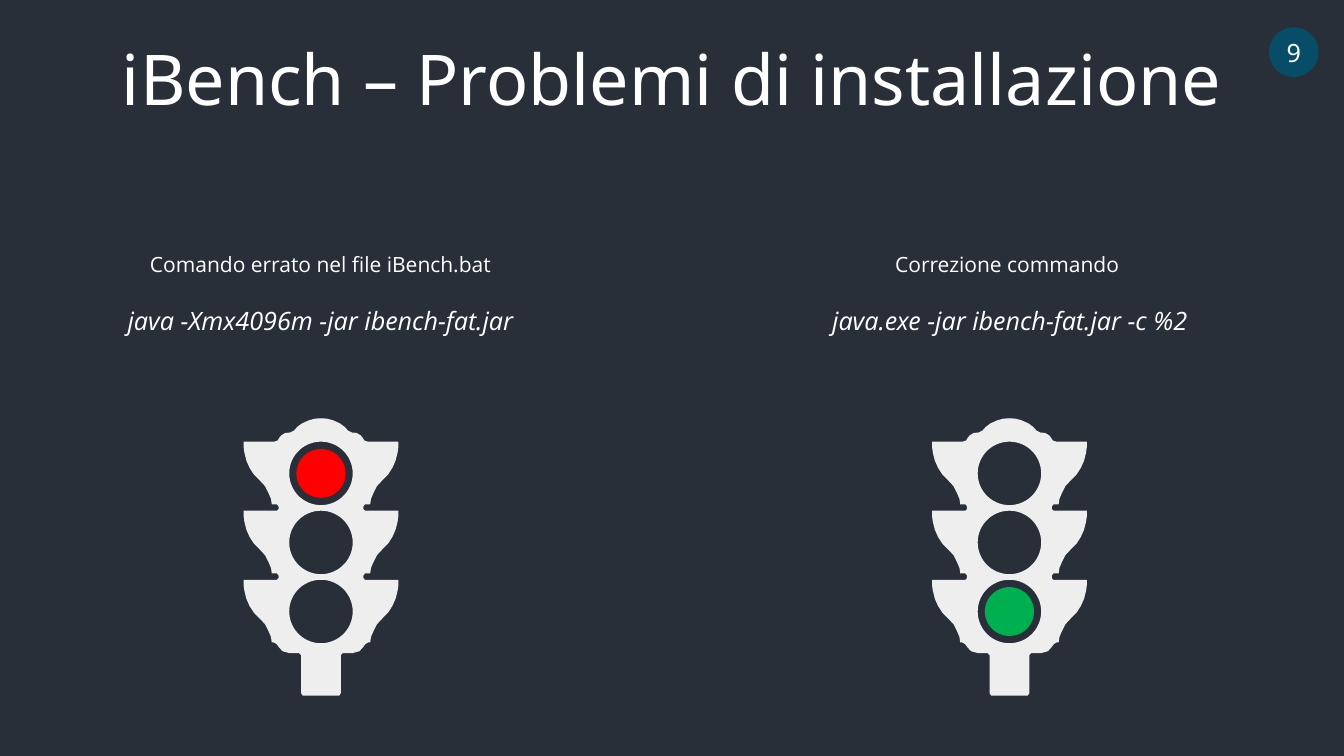
"""Builds the slide on iBench installation problems with two traffic lights."""
from math import cos, pi, sin

from pptx import Presentation
from pptx.dml.color import RGBColor
from pptx.enum.shapes import MSO_SHAPE
from pptx.enum.text import MSO_ANCHOR, MSO_AUTO_SIZE, PP_ALIGN
from pptx.util import Cm, Pt

OVAL = MSO_SHAPE.OVAL
TOP, MIDDLE = MSO_ANCHOR.TOP, MSO_ANCHOR.MIDDLE
CENTER = PP_ALIGN.CENTER
NO_FIT = MSO_AUTO_SIZE.NONE

COLORS = {
    "night": "282F39",
    "white": "FFFFFF",
    "body": "EEEEEE",
    "red": "FF0000",
    "green": "00B050",
    "badge": "074D67",
}

TITLE = "iBench – Problemi di installazione"
PAGE_NUMBER = "9"
TITLE_FORMAT = {"name": "Noto Sans", "size": Pt(50)}
NUMBER_FORMAT = {"name": "Noto Sans", "size": Pt(18)}
CAPTION_FORMAT = {"name": "Open Sans", "size": Pt(15)}
COMMAND_FORMAT = {"name": "Open Sans", "size": Pt(18), "italic": True}

CASES = [
    {
        "caption": "Comando errato nel file iBench.bat",
        "command": "java -Xmx4096m -jar ibench-fat.jar",
        "box": (2.95, 6.22, 10.26, 2.31),
        "axis": 8.09,
        "lamps": ["red", "night", "night"],
    },
    {
        "caption": "Correzione commando ",
        "command": "java.exe -jar ibench-fat.jar -c %2",
        "box": (19.71, 6.22, 11.48, 2.31),
        "axis": 25.44,
        "lamps": ["night", "night", "green"],
    },
]

TIER_TOP, TIER_PITCH = 11.13, 1.74
LENS_DROP, LENS_RADIUS, LENS_STEPS = 0.8, 0.8, 60
LAMP_WIDTH, LAMP_HEIGHT = 1.24, 1.23

CAP = [(0, -0.59), (0.15, -0.58), (0.3, -0.54), (0.48, -0.46), (0.6, -0.37),
       (0.68, -0.28), (0.78, -0.23), (0.9, -0.22), (1, -0.16), (1.05, -0.1),
       (1.09, -0.03), (1.18, 0)]
WING = [(1.95, 0), (1.95, 0.14), (1.93, 0.28), (1.88, 0.48), (1.8, 0.66),
        (1.69, 0.83), (1.55, 0.97), (1.41, 1.12), (1.32, 1.3), (1.26, 1.44),
        (1.24, 1.58)]
NOTCH = [(1.11, 1.58), (1.07, 1.63), (1.07, 1.7), (1.11, 1.74)]
POLE = [(1.19, 1.58), (1.12, 1.62), (1.06, 1.7), (0.97, 1.8), (0.79, 1.85),
        (0.55, 1.85), (0.5, 1.9), (0.5, 2.86), (0.46, 2.92)]


def color(name):
    return RGBColor.from_string(COLORS[name])


def paint(shape, name):
    shape.shadow.inherit = False
    shape.fill.solid()
    shape.fill.fore_color.rgb = color(name)
    shape.line.fill.background()


def write(para, text, formats):
    para.alignment = CENTER
    span = para.add_run()
    span.text = text
    span.font.color.rgb = color("white")
    for key, value in formats.items():
        setattr(span.font, key, value)


def tier_top(tier):
    return TIER_TOP + tier * TIER_PITCH


def body_outline(axis):
    half = [(x, TIER_TOP + y) for x, y in CAP]
    for tier, ending in enumerate([NOTCH, NOTCH, POLE]):
        half += [(x, tier_top(tier) + y) for x, y in WING + ending]
    right = [(axis + x, y) for x, y in half]
    left = [(axis - x, y) for x, y in reversed(half[1:])]
    return right + left


def lens_outline(axis, tier):
    middle = tier_top(tier) + LENS_DROP
    angles = [-2 * pi * step / LENS_STEPS for step in range(LENS_STEPS)]
    return [(axis + LENS_RADIUS * cos(angle), middle + LENS_RADIUS * sin(angle))
            for angle in angles]


def add_traffic_light(page, axis, lamps):
    light = page.shapes.add_group_shape()
    body, *lenses = [body_outline(axis)] + [
        lens_outline(axis, tier) for tier in range(len(lamps))]
    builder = light.shapes.build_freeform(*[Cm(v) for v in body[0]], scale=1.0)
    builder.add_line_segments([(Cm(x), Cm(y)) for x, y in body[1:]])
    for lens in lenses:
        builder.move_to(*[Cm(v) for v in lens[0]])
        builder.add_line_segments([(Cm(x), Cm(y)) for x, y in lens[1:]])
    paint(builder.convert_to_shape(), "body")
    for tier, lamp_color in enumerate(lamps):
        lamp = light.shapes.add_shape(
            OVAL, Cm(axis - LAMP_WIDTH / 2),
            Cm(tier_top(tier) + LENS_DROP - LAMP_HEIGHT / 2),
            Cm(LAMP_WIDTH), Cm(LAMP_HEIGHT))
        paint(lamp, lamp_color)


def add_command(page, case):
    frame = page.shapes.add_textbox(*[Cm(v) for v in case["box"]]).text_frame
    frame.word_wrap = True
    write(frame.paragraphs[0], case["caption"], CAPTION_FORMAT)
    para = frame.add_paragraph()
    para.space_before = Pt(20.4)
    write(para, case["command"], COMMAND_FORMAT)


def main():
    deck = Presentation()
    deck.slide_width, deck.slide_height = Cm(33.87), Cm(19.05)
    page = deck.slides.add_slide(deck.slide_layouts[5])
    page.background.fill.solid()
    page.background.fill.fore_color.rgb = color("night")

    title = page.shapes.title
    title.left, title.top, title.width, title.height = Cm(0), Cm(0.76), Cm(33.87), Cm(2.39)
    title.text_frame.auto_size = NO_FIT
    title.text_frame.vertical_anchor = TOP
    write(title.text_frame.paragraphs[0], TITLE, TITLE_FORMAT)

    for case in CASES:
        add_traffic_light(page, case["axis"], case["lamps"])
        add_command(page, case)

    badge = page.shapes.add_shape(OVAL, Cm(31.98), Cm(0.69), Cm(1.25), Cm(1.25))
    paint(badge, "badge")
    badge.text_frame.word_wrap = False
    badge.text_frame.vertical_anchor = MIDDLE
    write(badge.text_frame.paragraphs[0], PAGE_NUMBER, NUMBER_FORMAT)

    deck.save("out.pptx")


if __name__ == "__main__":
    main()
